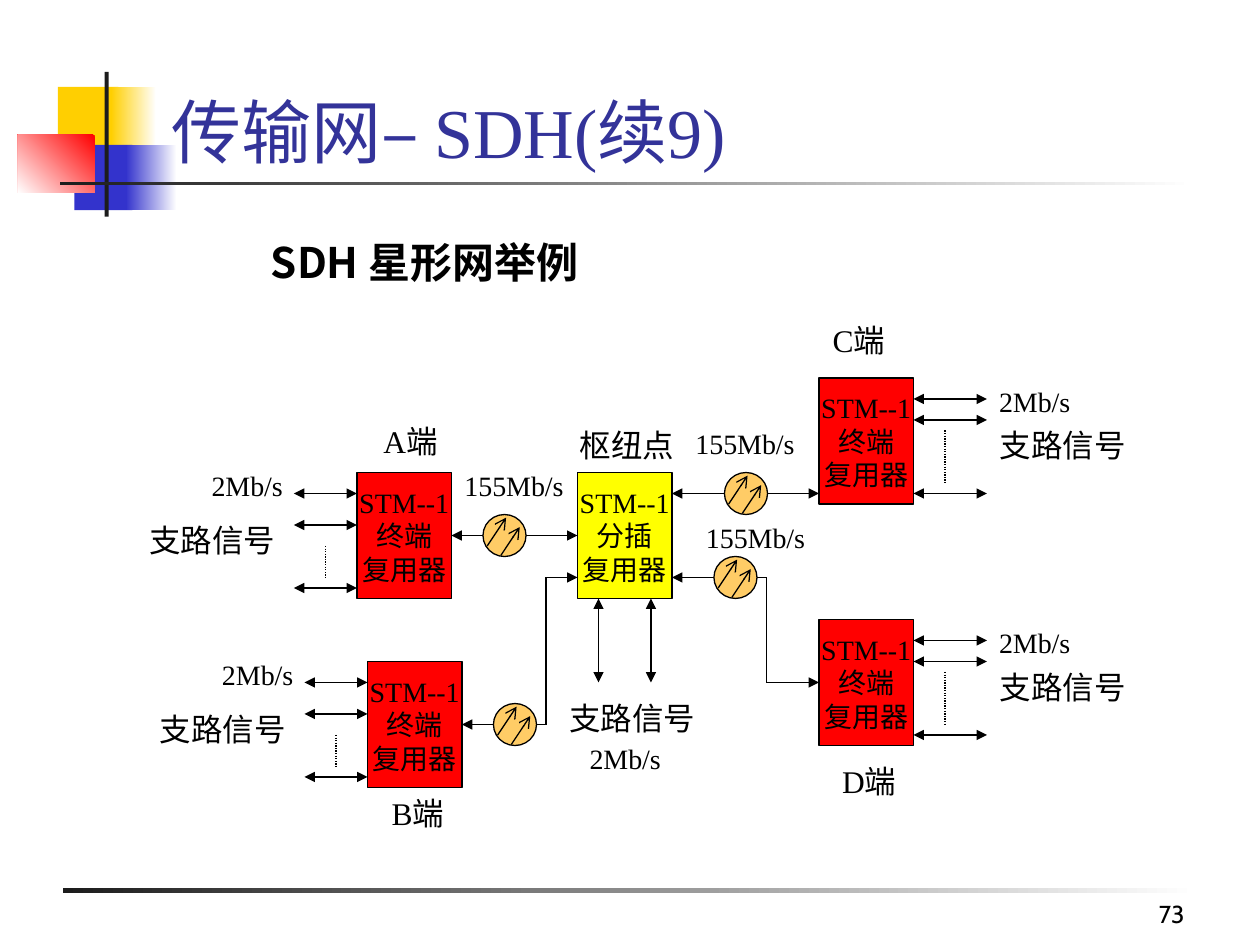
from dataclasses import dataclass

from lxml.etree import SubElement
from pptx import Presentation
from pptx.dml.color import RGBColor
from pptx.enum.dml import MSO_LINE
from pptx.enum.shapes import MSO_CONNECTOR, MSO_SHAPE
from pptx.enum.text import MSO_ANCHOR, MSO_AUTO_SIZE, PP_ALIGN
from pptx.oxml.ns import qn
from pptx.util import Cm, Pt


@dataclass(frozen=True)
class Theme:
    black: str = "000000"
    white: str = "FFFFFF"
    title: str = "333399"
    gold: str = "FFCF01"
    blue: str = "3333CC"
    red: str = "FF0000"
    yellow: str = "FFFF00"
    orange: str = "FFCC66"
    charcoal: str = "1C1C1C"
    serif: str = "Times New Roman"
    chinese: str = "Noto Sans CJK SC"
    number_font: str = "Cabin"
    title_size: int = 40
    heading_size: int = 24
    name_size: int = 18
    rate_size: int = 16
    number_size: int = 14
    line_width: float = 0.75


theme = Theme()
GRID = Cm(2.54) / 12


def write_text(box, text, size, font=theme.serif, color=theme.black, bold=False,
               align=PP_ALIGN.CENTER, anchor=MSO_ANCHOR.MIDDLE, wrap=False):
    frame = box.text_frame
    frame.text = text
    frame.word_wrap = wrap
    frame.auto_size = MSO_AUTO_SIZE.NONE
    frame.vertical_anchor = anchor
    for para in frame.paragraphs:
        para.alignment = align
        for span in para.runs:
            span.font.size = Pt(size)
            span.font.name = font
            span.font.bold = bold
            span.font.color.rgb = RGBColor.from_string(color)
            SubElement(span.font._element, qn("a:ea"), typeface=theme.chinese)


def add_line(shapes, start, end, head=None, tail=None, dash=None):
    points = [round(value * GRID) for value in (*start, *end)]
    connector = shapes.add_connector(MSO_CONNECTOR.STRAIGHT, *points)
    connector.line.color.rgb = RGBColor.from_string(theme.black)
    connector.line.width = Pt(theme.line_width)
    if dash:
        connector.line.dash_style = dash
    properties = connector._element.spPr
    outline = properties.find(qn("a:ln"))
    for tag, arrow in (("a:headEnd", head), ("a:tailEnd", tail)):
        if arrow:
            SubElement(outline, qn(tag), type=arrow)
    SubElement(properties, qn("a:effectLst"))


deck = Presentation()
deck.slide_width, deck.slide_height = Cm(25.4), Cm(19.05)
page = deck.slides.add_slide(deck.slide_layouts[5])

decorations = [
    (1.17, 1.75, 1.22, 1.32, [theme.gold], 0),
    (2.24, 1.75, 0.91, 1.32, [theme.white, theme.gold], 180),
    (1.5, 2.92, 1.17, 1.32, [theme.blue], 0),
    (2.54, 2.92, 1.02, 1.32, [theme.white, theme.blue], 180),
    (0.36, 2.72, 1.55, 1.17, [theme.red, theme.white], 225),
    (2.11, 1.45, 0.08, 2.92, [theme.charcoal], 0),
    (1.22, 3.66, 22.86, 0.08, [theme.white, theme.charcoal], 180),
    (1.27, 17.91, 22.86, 0.1, [theme.white, theme.charcoal], 180),
]
for left, top, width, height, colors, angle in decorations:
    block = page.shapes.add_shape(MSO_SHAPE.RECTANGLE, Cm(left), Cm(top), Cm(width), Cm(height))
    block.shadow.inherit = False
    block.line.fill.background()
    if len(colors) == 1:
        block.fill.solid()
        block.fill.fore_color.rgb = RGBColor.from_string(colors[0])
    else:
        block.fill.gradient()
        block.fill.gradient_angle = angle
        for stop, color in zip(block.fill.gradient_stops, colors):
            stop.color.rgb = RGBColor.from_string(color)

title = page.shapes.title
title.left, title.top, title.width, title.height = Cm(3.2), Cm(0.64), Cm(21.64), Cm(2.97)
write_text(title, "传输网– SDH(续9)", theme.title_size, color=theme.title,
           align=PP_ALIGN.LEFT, anchor=MSO_ANCHOR.BOTTOM, wrap=True)

heading = page.shapes.add_textbox(Cm(5.21), Cm(4.65), Cm(15), Cm(1.5))
write_text(heading, "SDH 星形网举例", theme.heading_size, font=theme.chinese, bold=True,
           align=PP_ALIGN.LEFT, anchor=MSO_ANCHOR.TOP, wrap=True)

multiplexers = [
    (55, 45, theme.yellow, "分插"),
    (78, 36, theme.red, "终端"),
    (78, 59, theme.red, "终端"),
    (34, 45, theme.red, "终端"),
    (35, 63, theme.red, "终端"),
]
for left, top, color, role in multiplexers:
    box = page.shapes.add_shape(MSO_SHAPE.RECTANGLE, round(left * GRID), round(top * GRID),
                                round(9 * GRID), round(12 * GRID))
    box.shadow.inherit = False
    box.fill.solid()
    box.fill.fore_color.rgb = RGBColor.from_string(color)
    box.line.color.rgb = RGBColor.from_string(theme.black)
    box.line.width = Pt(theme.line_width)
    write_text(box, f"STM--1\n{role}\n复用器", theme.rate_size)

tributaries = [
    (34, 28, 31, 45, (2, 5, 11), (7, 10)),
    (35, 29, 32, 63, (2, 5, 11), (7, 10)),
    (87, 94, 90, 36, (2, 4, 11), (5, 10)),
    (87, 94, 90, 59, (2, 4, 11), (5, 10)),
]
for inner, outer, middle, top, rows, (dots_start, dots_end) in tributaries:
    for row in rows:
        add_line(page.shapes, (inner, top + row), (outer, top + row), "triangle", "triangle")
    add_line(page.shapes, (middle, top + dots_start), (middle, top + dots_end),
             dash=MSO_LINE.ROUND_DOT)

links = [
    ((57, 57), (57, 65), "triangle", "triangle"),
    ((62, 57), (62, 65), "triangle", "triangle"),
    ((43, 51), (55, 51), "triangle", "triangle"),
    ((64, 47), (78, 47), "triangle", "triangle"),
    ((73, 55), (64, 55), None, "triangle"),
    ((73, 55), (73, 65), None, None),
    ((73, 65), (78, 65), None, "triangle"),
    ((47, 69), (44, 69), None, "triangle"),
    ((51, 69), (52, 69), None, None),
    ((52, 69), (52, 55), None, None),
    ((52, 55), (55, 55), None, "triangle"),
]
for start, end, head, tail in links:
    add_line(page.shapes, start, end, head, tail)

for left, top in [(69, 45), (68, 53), (46, 49), (47, 67)]:
    fiber = page.shapes.add_group_shape()
    ring = fiber.shapes.add_shape(MSO_SHAPE.OVAL, round(left * GRID), round(top * GRID),
                                  round(4.1 * GRID), round(4 * GRID))
    ring.shadow.inherit = False
    ring.fill.solid()
    ring.fill.fore_color.rgb = RGBColor.from_string(theme.orange)
    ring.line.color.rgb = RGBColor.from_string(theme.black)
    ring.line.width = Pt(theme.line_width)
    for shift_x, shift_y in [(0.4, 0.3), (1.7, 1.2)]:
        x, y = left + shift_x, top + shift_y
        add_line(fiber.shapes, (x, y + 2.7), (x + 1.8, y), tail="arrow")

labels = [
    ("支路信号", 14.4, theme.name_size, [(94, 40), (94, 63), (13, 49), (53, 66), (14, 67)]),
    ("2Mb/s", 9.1, theme.rate_size, [(94, 36), (94, 59), (55, 70), (19, 44), (20, 62)]),
    ("155Mb/s", 11.9, theme.rate_size, [(65, 40), (66, 49), (43, 44)]),
    ("枢纽点", 11.4, theme.name_size, [(54, 40)]),
    ("A端", 8.2, theme.name_size, [(35, 39.6)]),
    ("B端", 8.2, theme.name_size, [(35.7, 75)]),
    ("C端", 8.2, theme.name_size, [(77.7, 30)]),
    ("D端", 8.2, theme.name_size, [(78.7, 72)]),
]
for text, width, size, places in labels:
    height = 4.8 if size == theme.name_size else 4.4
    for left, top in places:
        label = page.shapes.add_textbox(round(left * GRID), round(top * GRID),
                                        round(width * GRID), round(height * GRID))
        write_text(label, text, size)

number = page.shapes.add_textbox(Cm(18.84), Cm(17.57), Cm(5.29), Cm(1.27))
write_text(number, "73", theme.number_size, font=theme.number_font,
           align=PP_ALIGN.RIGHT, anchor=MSO_ANCHOR.BOTTOM, wrap=True)

deck.save("out.pptx")
